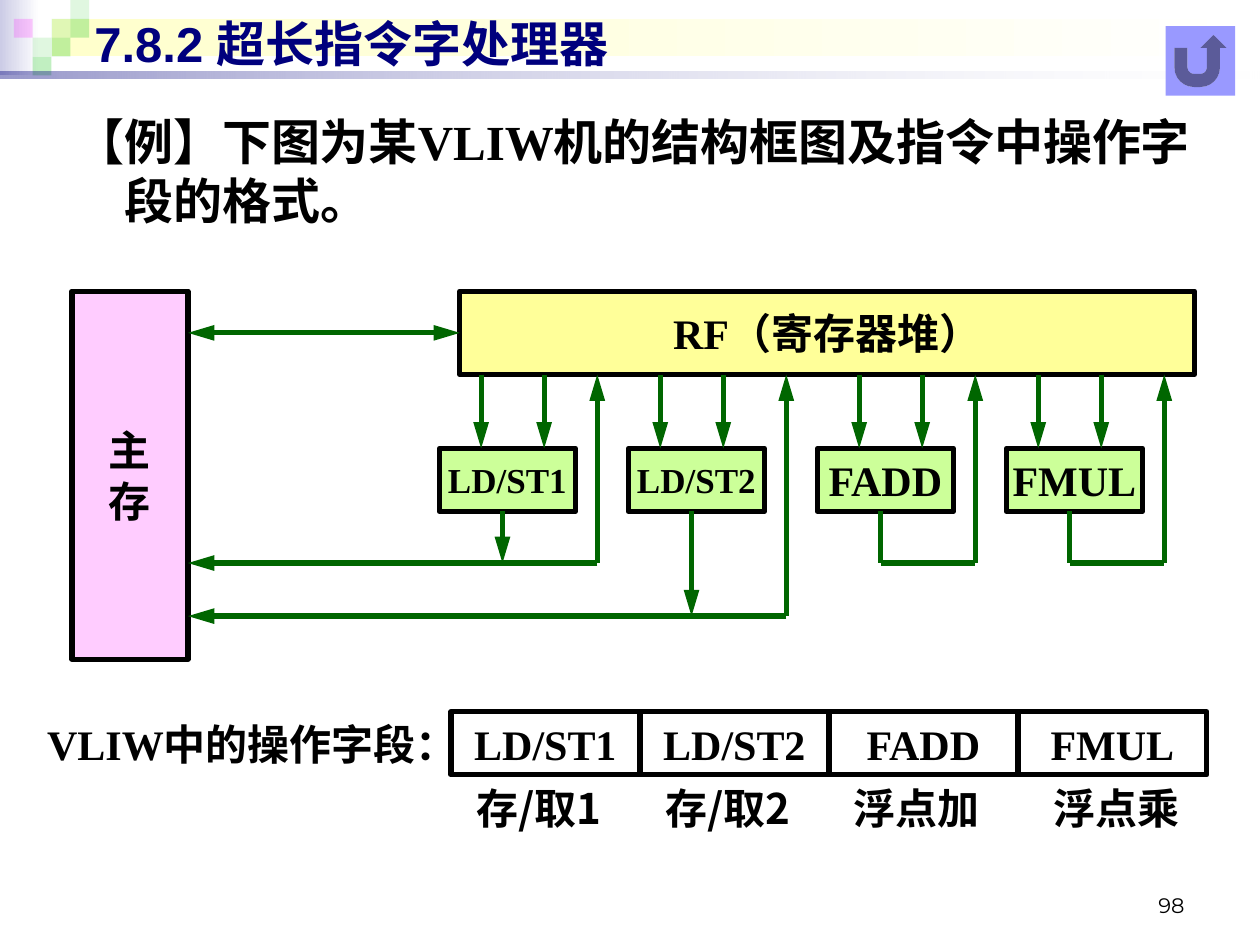
from lxml import etree
from pptx import Presentation
from pptx.dml.color import RGBColor
from pptx.enum.shapes import MSO_CONNECTOR, MSO_SHAPE
from pptx.enum.text import MSO_ANCHOR, PP_ALIGN
from pptx.oxml.ns import qn
from pptx.util import Cm, Pt

RECT = MSO_SHAPE.RECTANGLE
RETURN = MSO_SHAPE.ACTION_BUTTON_RETURN
STRAIGHT = MSO_CONNECTOR.STRAIGHT
LEFT, CENTER, RIGHT = PP_ALIGN.LEFT, PP_ALIGN.CENTER, PP_ALIGN.RIGHT
TOP, MIDDLE, BOTTOM = MSO_ANCHOR.TOP, MSO_ANCHOR.MIDDLE, MSO_ANCHOR.BOTTOM

SERIF, SANS, CJK = "Times New Roman", "Arial", "Noto Sans CJK SC"
COLORS = {
    "black": "000000", "white": "FFFFFF", "navy": "00007D",
    "lavender": "CCCCE6", "cream": "FFFFCC", "green": "33CC33",
    "magenta": "FF00FF", "pink": "FFCCFF", "yellow": "FFFF99",
    "lime": "CCFF99", "arrow": "006600", "button": "9999FF",
}

PITCH = 3.81
MEM_RIGHT, RF_BOTTOM = 3.79, 7.55
UNIT_LEFT, UNIT_TOP, UNIT_W, UNIT_H = 8.86, 9.04, 2.74, 1.27
UNIT_BOTTOM = UNIT_TOP + UNIT_H
INPUT_GAP, OUTPUT, RETURN_PATH = 1.27, 1.27, 3.18
FIELD_LEFT, FIELD_TOP, LABEL_TOP = 9.09, 14.35, 15.65

UNITS = [
    ("LD/ST1", 20, 0.84, 11.35, True),
    ("LD/ST2", 20, 0.64, 12.42, True),
    ("FADD", 24, 0.84, 11.35, False),
    ("FMUL", 24, 0.64, 11.35, False),
]
LABELS = [("存/取1", 8.96), ("存/取2", 12.77), ("浮点加", 16.58), ("浮点乘", 20.6)]


def rgb(name):
    return RGBColor.from_string(COLORS[name])


def write(sp, text, size, font=SERIF, color="black", bold=True,
          align=CENTER, anchor=MIDDLE, wrap=False):
    tf = sp.text_frame
    tf.word_wrap = wrap
    tf.vertical_anchor = anchor
    tf.text = text
    for p in tf.paragraphs:
        p.alignment = align
        p.font.name = font
        p.font.size = Pt(size)
        p.font.bold = bold
        p.font.color.rgb = rgb(color)


def add_text(s, box, text, size, **style):
    sp = s.shapes.add_textbox(*map(Cm, box))
    write(sp, text, size, **style)
    return sp


def add_block(s, box, fill=None, outlined=False, kind=RECT):
    sp = s.shapes.add_shape(kind, *map(Cm, box))
    sp.shadow.inherit = False
    if fill:
        sp.fill.solid()
        sp.fill.fore_color.rgb = rgb(fill)
    else:
        sp.fill.background()
    if outlined:
        sp.line.color.rgb = rgb("black")
        sp.line.width = Pt(3)
    else:
        sp.line.fill.background()
    return sp


def set_alphas(sp, percents):
    colors = sp.element.spPr.iter(qn("a:srgbClr"))
    for color, percent in zip(list(colors), percents):
        etree.SubElement(color, qn("a:alpha"), val=str(percent * 1000))


def add_gradient(s, box, start, alphas=()):
    sp = add_block(s, box)
    sp.fill.gradient()
    sp.fill.gradient_angle = 0
    for stop, name, position in zip(sp.fill.gradient_stops, (start, "white"), (0, 1)):
        stop.color.rgb = rgb(name)
        stop.position = position
    set_alphas(sp, alphas)


def add_line(s, start, end, head=False, tail=True):
    c = s.shapes.add_connector(STRAIGHT, *map(Cm, start + end))
    c.line.color.rgb = rgb("arrow")
    c.line.width = Pt(3)
    ln = c.line._get_or_add_ln()
    for shown, tag in ((head, "a:headEnd"), (tail, "a:tailEnd")):
        if shown:
            etree.SubElement(ln, qn(tag), type="triangle", w="med", len="lg")
    etree.SubElement(c.element.spPr, qn("a:effectLst"))
    return c


def add_banner(s):
    add_gradient(s, (0, 0, 0.79, 1.52), "lavender")
    add_gradient(s, (1.04, 0.38, 24.26, 0.76), "cream")
    tile = 0.38
    for col, row, color, alpha in [
        (2, 1, "green", 15), (3, 0, "green", 15), (3, 1, "green", 30),
        (1, 2, "green", 15), (0, 1, "magenta", 20), (2, 2, "green", 30),
        (1, 3, "green", 30),
    ]:
        sp = add_block(s, (0.28 + col * tile, row * tile, tile, tile), color)
        set_alphas(sp, [alpha])
    add_gradient(s, (0, 1.45, 25.4, 0.13), "navy", (40, 10))


def add_heading(s):
    title = s.shapes.title
    title.left, title.top, title.width, title.height = map(Cm, (1.65, 0.13, 22.86, 1.45))
    write(title, "7.8.2 超长指令字处理器", 28, font=SANS, color="navy",
          align=LEFT, wrap=True)
    sp = add_text(s, (1.27, 2.13, 23.24, 3),
                  "【例】下图为某VLIW机的结构框图及指令中操作字段的格式。",
                  28, align=LEFT, anchor=TOP, wrap=True)
    p = sp.text_frame.paragraphs[0]
    p.space_before = Pt(5.6)
    pPr = p._p.get_or_add_pPr()
    pPr.set("marL", str(Cm(1)))
    pPr.set("indent", str(Cm(-1)))


def add_unit(s, left, name, size, first_input, bus, to_memory):
    sp = add_block(s, (left, UNIT_TOP, UNIT_W, UNIT_H), "lime", True)
    write(sp, name, size)
    for x in (left + first_input, left + first_input + INPUT_GAP):
        add_line(s, (x, RF_BOTTOM), (x, UNIT_TOP))
    out, back = left + OUTPUT, left + RETURN_PATH
    add_line(s, (out, UNIT_BOTTOM), (out, bus), tail=to_memory)
    if to_memory:
        add_line(s, (back, bus), (MEM_RIGHT, bus))
    else:
        add_line(s, (out, bus), (back, bus), tail=False)
    add_line(s, (back, bus), (back, RF_BOTTOM))


def add_machine(s):
    memory = add_block(s, (1.45, 5.87, 2.34, 7.42), "pink", True)
    write(memory, "主\n存", 24)
    registers = add_block(s, (9.27, 5.87, 14.81, 1.68), "yellow", True)
    write(registers, "RF（寄存器堆）", 24)
    link = add_line(s, (MEM_RIGHT, 6.71), (9.27, 6.71), head=True)
    link.end_connect(registers, 1)
    for i, unit in enumerate(UNITS):
        add_unit(s, UNIT_LEFT + i * PITCH, *unit)


def add_fields(s):
    add_text(s, (0.09, 14.25, 10, 1.5), "VLIW中的操作字段：", 24)
    for i, (name, *_) in enumerate(UNITS):
        sp = add_block(s, (FIELD_LEFT + i * PITCH, FIELD_TOP, PITCH, UNIT_H), outlined=True)
        write(sp, name, 24)
    for text, left in LABELS:
        add_text(s, (left, LABEL_TOP, PITCH, UNIT_H), text, 24, font=CJK)


def main():
    prs = Presentation()
    prs.slide_width, prs.slide_height = Cm(25.4), Cm(19.05)
    s = prs.slides.add_slide(prs.slide_layouts[5])
    add_banner(s)
    title = s.shapes.title.element
    title.getparent().append(title)
    add_heading(s)
    add_machine(s)
    add_fields(s)
    add_block(s, (23.5, 0.53, 1.4, 1.4), "button", kind=RETURN)
    add_text(s, (18.21, 17.35, 5.92, 1.27), "98", 12, font="Montserrat",
             bold=False, align=RIGHT, anchor=BOTTOM, wrap=True)
    prs.save("out.pptx")


if __name__ == "__main__":
    main()
